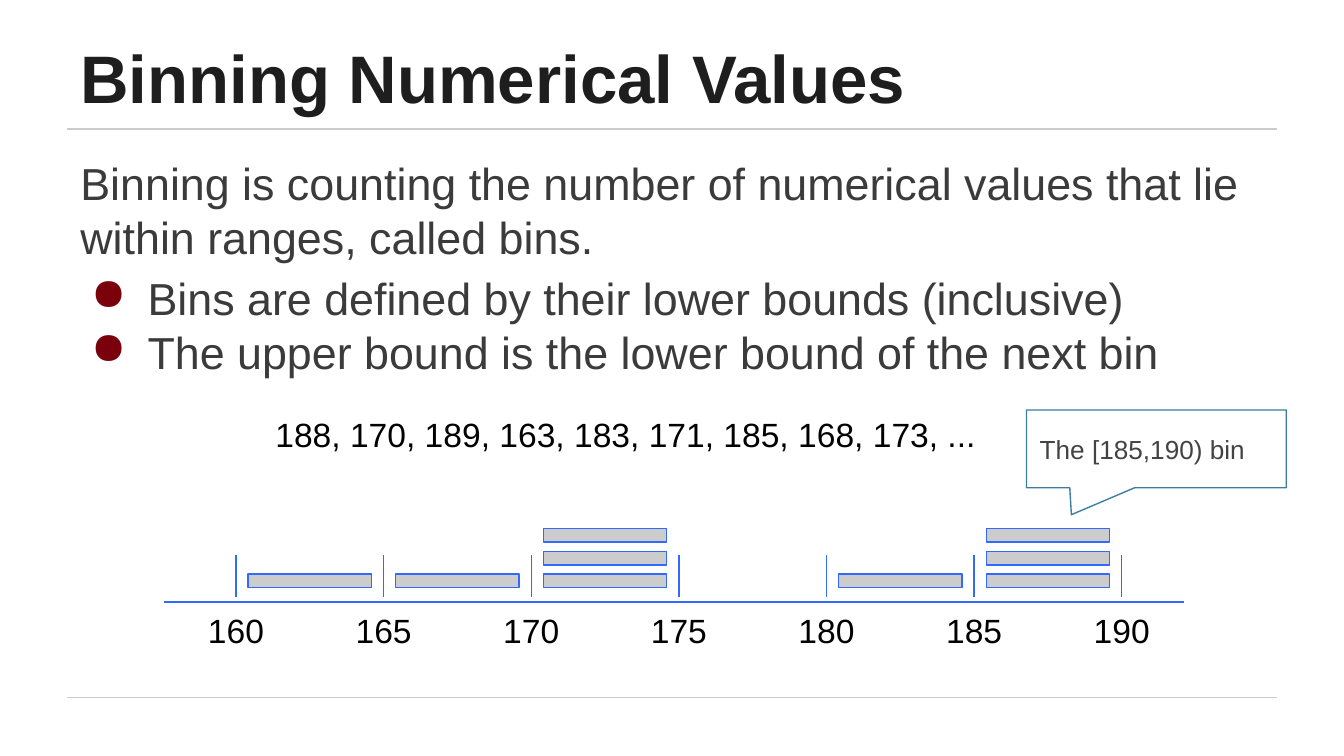
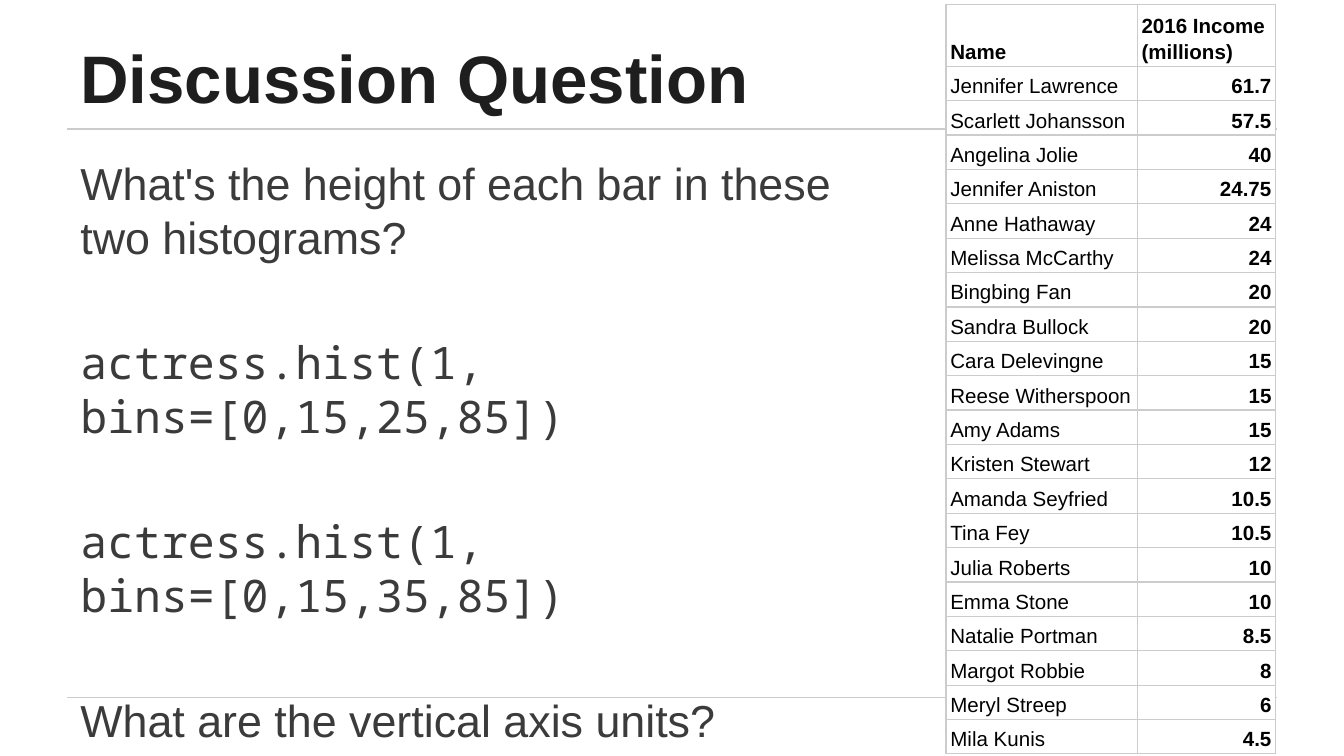
import lxml.etree
import pptx
import pptx.dml.color
import pptx.enum.shapes
import pptx.enum.text
import pptx.oxml.ns
import pptx.util

Cm = pptx.util.Cm
Pt = pptx.util.Pt
RGBColor = pptx.dml.color.RGBColor
ALIGN = pptx.enum.text.PP_ALIGN
ANCHOR = pptx.enum.text.MSO_ANCHOR
SHAPE = pptx.enum.shapes.MSO_SHAPE
qn = pptx.oxml.ns.qn

INK = RGBColor(0x1E, 0x1E, 0x1E)
BODY = RGBColor(0x3B, 0x3B, 0x3B)
BLACK = RGBColor(0, 0, 0)
WHITE = RGBColor(0xFF, 0xFF, 0xFF)
GRAY = RGBColor(0xCC, 0xCC, 0xCC)
BLUE = RGBColor(0x33, 0x69, 0xFC)
TEAL = RGBColor(0x3B, 0x7E, 0xA1)
SLATE = RGBColor(0x43, 0x43, 0x43)
RED = RGBColor(0x7A, 0x00, 0x0B)

SANS = "Arial"
MONO = "Noto Sans Mono"
WIDE = 25.4
HIGH = 14.29
EDGE = 1.27
PAD = 0.25
THIN = 0.75

INCOME = [
    ("Jennifer Lawrence", "61.7"), ("Scarlett Johansson", "57.5"),
    ("Angelina Jolie", "40"), ("Jennifer Aniston", "24.75"),
    ("Anne Hathaway", "24"), ("Melissa McCarthy", "24"),
    ("Bingbing Fan", "20"), ("Sandra Bullock", "20"),
    ("Cara Delevingne", "15"), ("Reese Witherspoon", "15"),
    ("Amy Adams", "15"), ("Kristen Stewart", "12"),
    ("Amanda Seyfried", "10.5"), ("Tina Fey", "10.5"),
    ("Julia Roberts", "10"), ("Emma Stone", "10"),
    ("Natalie Portman", "8.5"), ("Margot Robbie", "8"),
    ("Meryl Streep", "6"), ("Mila Kunis", "4.5"),
]


def place(box):
    """Turn a box in centimetres into lengths."""
    return [Cm(side) for side in box]


def write(para, text, size=18, color=BLACK, font=SANS, bold=False,
          align=ALIGN.LEFT, before=0, pitch=None, bullet=False):
    """Set the text and format of one paragraph."""
    para.text = text
    para.alignment = align
    para.space_before = Pt(before)
    if pitch:
        para.line_spacing = pitch
    for run in para.runs:
        run.font.size = Pt(size)
        run.font.name = font
        run.font.bold = bold
        run.font.color.rgb = color
    if bullet:
        props = para._p.get_or_add_pPr()
        props.set("marL", str(Cm(1.27)))
        props.set("indent", str(Cm(-1.07)))
        tint = lxml.etree.SubElement(props, qn("a:buClr"))
        lxml.etree.SubElement(tint, qn("a:srgbClr"), val=str(RED))
        lxml.etree.SubElement(props, qn("a:buChar"), char="●")


def frame(shape, anchor=ANCHOR.TOP):
    """Set up wrapping, insets and anchor of a shape's text."""
    text = shape.text_frame
    text.word_wrap = True
    text.vertical_anchor = anchor
    text.margin_left = text.margin_right = Cm(PAD)
    text.margin_top = text.margin_bottom = Cm(PAD)
    return text


def label(shapes, box, text, anchor=ANCHOR.TOP, **form):
    """Add a text box with one paragraph."""
    area = frame(shapes.add_textbox(*place(box)), anchor)
    write(area.paragraphs[0], text, **form)


def rule(shapes, x1, y1, x2, y2, color):
    """Add a thin straight line."""
    line = shapes.add_connector(pptx.enum.shapes.MSO_CONNECTOR.STRAIGHT,
                                *place((x1, y1, x2, y2)))
    line.line.color.rgb = color
    line.line.width = Pt(THIN)
    lxml.etree.SubElement(line._element.spPr, qn("a:effectLst"))


def block(shapes, kind, box, fill, edge):
    """Add a filled and outlined shape."""
    shape = shapes.add_shape(kind, *place(box))
    shape.shadow.inherit = False
    shape.fill.solid()
    shape.fill.fore_color.rgb = fill
    shape.line.color.rgb = edge
    shape.line.width = Pt(THIN)
    return shape


def base(deck, title):
    """Add a slide with the shared rules and title."""
    shapes = deck.slides.add_slide(deck.slide_layouts[6]).shapes
    for y in (2.44, 13.18):
        rule(shapes, EDGE, y, WIDE - EDGE, y, GRAY)
    label(shapes, (EDGE, 0.58, 18.62, 1.88), title, ANCHOR.BOTTOM,
          size=36, color=INK, bold=True)
    return shapes


def prose(shapes, box, lines):
    """Fill the body area with paragraphs of text and format."""
    area = frame(shapes.add_textbox(*place(box)))
    for num, (text, form) in enumerate(lines):
        para = area.add_paragraph() if num else area.paragraphs[0]
        write(para, text, size=24, color=BODY, pitch=Pt(28.8), **form)


def axis(shapes, box, marks, counts):
    """Draw a number line with ticks, marks and stacked bars."""
    left, top, width, height = box
    first, step, gap = left + 1.36, 2.79, 0.23
    floor = top + height
    group = shapes.add_group_shape().shapes
    rule(group, left, floor, left + width, floor, BLUE)
    for num, mark in enumerate(marks):
        x = first + num * step
        label(group, (x - 1.07, floor - 0.1, 2.14, 1.47), str(mark),
              align=ALIGN.CENTER)
        rule(group, x, floor - 0.1, x, floor - 0.88, BLUE)
    for num, count in enumerate(counts):
        for level in range(count):
            bar = (first + num * step + gap, floor - 0.53 - level * 0.43,
                   step - 2 * gap, 0.26)
            block(shapes, SHAPE.RECTANGLE, bar, GRAY, BLUE)


def bubble(shapes, box, text):
    """Add a square callout that points down to a bar stack."""
    shape = block(shapes, SHAPE.ROUNDED_RECTANGULAR_CALLOUT, box, WHITE, TEAL)
    for num, value in enumerate((-0.327, 0.847, 0)):
        shape.adjustments[num] = value
    write(frame(shape, ANCHOR.MIDDLE).paragraphs[0], text, size=14,
          color=SLATE)


def style(cell):
    """Give a table cell its insets, borders and fill."""
    cell.margin_left = cell.margin_right = Cm(0.08)
    cell.margin_top = cell.margin_bottom = Cm(0.05)
    cell.vertical_anchor = ANCHOR.BOTTOM
    props = cell._tc.get_or_add_tcPr()
    for side in "LRTB":
        line = lxml.etree.SubElement(props, qn("a:ln" + side),
                                     w=str(Pt(THIN)))
        fill = lxml.etree.SubElement(line, qn("a:solidFill"))
        lxml.etree.SubElement(fill, qn("a:srgbClr"), val=str(GRAY))
    cell.fill.solid()
    cell.fill.fore_color.rgb = WHITE


def grid(shapes, box, head, rows):
    """Add the income table, with bold head and values."""
    data = [head] + rows
    table = shapes.add_table(len(data), len(head), *place(box)).table
    table.first_row = table.horz_banding = False
    for col, share in zip(table.columns, (0.58, 0.42)):
        col.width = Cm(box[2] * share)
    for row, cells in enumerate(data):
        table.rows[row].height = Cm(0.65 if row else 1.1)
        for col, text in enumerate(cells):
            cell = table.cell(row, col)
            style(cell)
            write(cell.text_frame.paragraphs[0], text, size=11, pitch=1.15,
                  bold=row == 0 or col == 1,
                  align=ALIGN.RIGHT if row and col else ALIGN.LEFT)
    table.rows[len(rows)].height = Cm(0.6)


def binning(deck):
    """Build the slide on binning."""
    shapes = base(deck, "Binning Numerical Values")
    prose(shapes, (EDGE, 2.69, WIDE - 2 * EDGE, 4.83), [
        ("Binning is counting the number of numerical values that lie "
         "within ranges, called bins.", {}),
        ("Bins are defined by their lower bounds (inclusive)",
         {"bullet": True, "before": 4}),
        ("The upper bound is the lower bound of the next bin",
         {"bullet": True}),
    ])
    label(shapes, (2.54, 7.57, 18.57, 1.47),
          "188, 170, 189, 163, 183, 171, 185, 168, 173, ...",
          align=ALIGN.CENTER)
    axis(shapes, (3.1, 10, 19.28, 1.38), range(160, 191, 5),
         (1, 1, 3, 0, 1, 3))
    bubble(shapes, (19.4, 7.75, 4.91, 1.47), "The [185,190) bin")


def question(deck):
    """Build the discussion slide."""
    shapes = base(deck, "Discussion Question")
    apart = 38.4
    code = {"font": MONO, "before": apart}
    prose(shapes, (EDGE, 2.69, 16.38, 10.06), [
        ("What's the height of each bar in these \vtwo histograms?", {}),
        ("actress.hist(1, bins=[0,15,25,85])", code),
        ("actress.hist(1, bins=[0,15,35,85])", code),
        ("What are the vertical axis units?", {"before": apart}),
    ])
    grid(shapes, (17.88, 0.08, 6.23, 14.07),
         ("Name", "2016 Income (millions)"), INCOME)


def main():
    """Build and save the deck."""
    deck = pptx.Presentation()
    deck.slide_width, deck.slide_height = place((WIDE, HIGH))
    binning(deck)
    question(deck)
    deck.save("out.pptx")


if __name__ == "__main__":
    main()
